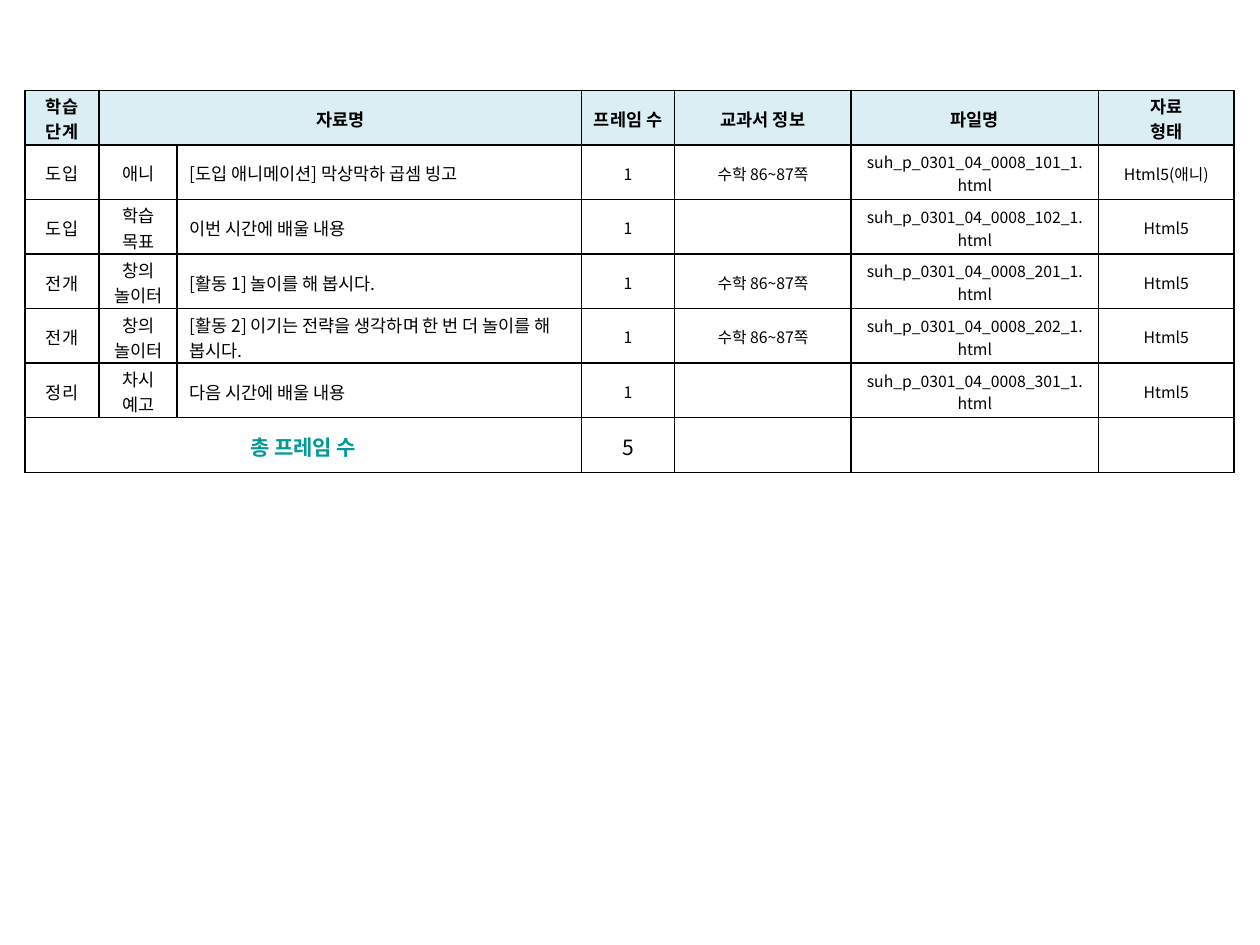
from lxml import etree
from pptx import Presentation, util as u
from pptx.dml.color import RGBColor
from pptx.enum import text as t
from pptx.oxml.ns import qn

FONT = "Noto Sans CJK KR"
COLS = [1.5, 1.57, 8.15, 1.88, 3.56, 4.98, 2.74]
ROW = 1.1
HEAD = ["학습 단계", "자료명", "", "프레임 수", "교과서 정보", "파일명", "자료\n형태"]
PAGES = "수학 86~87쪽"
# Stage, kind, title, textbook pages, file number, format
ITEMS = [
    ("도입", "애니", "[도입 애니메이션] 막상막하 곱셈 빙고", PAGES, 101, "Html5(애니)"),
    ("도입", "학습 목표", "이번 시간에 배울 내용", "", 102, "Html5"),
    ("전개", "창의\n놀이터", "[활동 1] 놀이를 해 봅시다.", PAGES, 201, "Html5"),
    ("전개", "창의\n놀이터", "[활동 2] 이기는 전략을 생각하며 한 번 더 놀이를 해 봅시다.",
     PAGES, 202, "Html5"),
    ("정리", "차시 예고", "다음 시간에 배울 내용", "", 301, "Html5"),
]


def color(code):
    return RGBColor.from_string(code)


def write(cell, words, size=10, bold=False, ink="000000", align="CENTER"):
    """Fill a cell with one paragraph per line of words."""
    frame = cell.text_frame
    for i, line in enumerate(words.split("\n")):
        para = frame.add_paragraph() if i else frame.paragraphs[0]
        para.alignment = t.PP_ALIGN[align]
        run = para.add_run()
        run.text = line
        font = run.font
        font.name, font.size, font.bold = FONT, u.Pt(size), bold
        font.color.rgb = color(ink)
        east = etree.Element(qn("a:ea"), typeface=FONT)
        font._element.find(qn("a:latin")).addnext(east)


def border(cell, ink="000000", width=1):
    """Draw the same line on all four sides."""
    props = cell._tc.get_or_add_tcPr()
    for i, side in enumerate("LRTB"):
        line = etree.Element(qn("a:ln" + side), w=str(u.Pt(width)))
        fill = etree.SubElement(line, qn("a:solidFill"))
        etree.SubElement(fill, qn("a:srgbClr"), val=ink)
        props.insert(i, line)


def style(cell, fill=None):
    cell.vertical_anchor = t.MSO_ANCHOR.MIDDLE
    cell.margin_left = cell.margin_right = u.Cm(0.25)
    # Slim margins let two lines fit the row height
    cell.margin_top, cell.margin_bottom = u.Cm(0.05), u.Cm(0)
    if fill:
        cell.fill.solid()
        cell.fill.fore_color.rgb = color(fill)
    else:
        cell.fill.background()
    border(cell)


def grid(slide):
    """Add the empty, styled table."""
    rows = len(ITEMS) + 2
    table = slide.shapes.add_table(
        rows, len(COLS), u.Cm(0.5), u.Cm(1.82),
        u.Cm(sum(COLS)), u.Cm(ROW * rows)).table
    table.first_row = table.horz_banding = False
    for col, width in zip(table.columns, COLS):
        col.width = u.Cm(width)
    for r, row in enumerate(table.rows):
        row.height = u.Cm(ROW)
        for cell in row.cells:
            style(cell, None if r else "DBEEF4")
    return table


def main():
    deck = Presentation()
    deck.slide_width, deck.slide_height = u.Cm(25.4), u.Cm(19.05)
    table = grid(deck.slides.add_slide(deck.slide_layouts[6]))
    last = len(ITEMS) + 1

    # Header
    table.cell(0, 1).merge(table.cell(0, 2))
    for c, words in enumerate(HEAD):
        if words:
            write(table.cell(0, c), words, bold=True)

    # Items
    for r, (stage, kind, title, pages, num, form) in enumerate(ITEMS, 1):
        name = f"suh_p_0301_04_0008_{num}_1.html"
        for c, words in enumerate([stage, kind, title, "1", pages, name, form]):
            if words:
                write(table.cell(r, c), words, size=10 if c < 3 else 9,
                      align="LEFT" if c == 2 else "CENTER")

    # Total
    table.cell(last, 0).merge(table.cell(last, 2))
    write(table.cell(last, 0), "총 프레임 수", size=12, bold=True, ink="009999")
    write(table.cell(last, 3), str(len(ITEMS)), size=12)

    deck.save("out.pptx")


if __name__ == "__main__":
    main()
